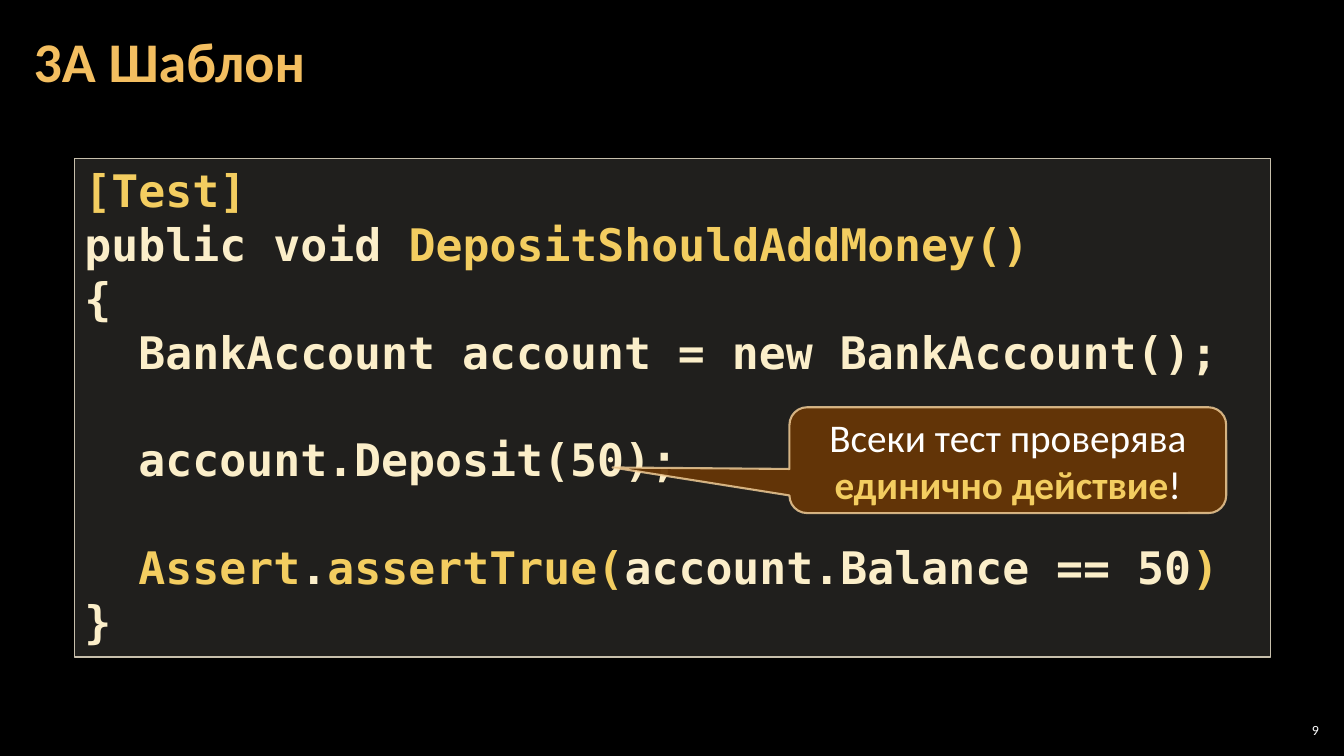
"""Builds the slide about the 3A unit test template."""
from lxml import etree
from pptx import Presentation
from pptx.dml.color import RGBColor
from pptx.enum.shapes import MSO_SHAPE
from pptx.enum.text import MSO_ANCHOR, PP_ALIGN
from pptx.oxml.ns import qn
from pptx.util import Inches, Pt

RECTANGLE = MSO_SHAPE.RECTANGLE
CALLOUT = MSO_SHAPE.ROUNDED_RECTANGULAR_CALLOUT
TOP, MIDDLE = MSO_ANCHOR.TOP, MSO_ANCHOR.MIDDLE
LEFT, CENTER, RIGHT = PP_ALIGN.LEFT, PP_ALIGN.CENTER, PP_ALIGN.RIGHT

WIDTH, HEIGHT = 13.33, 7.5
CODE_LINE = Pt(38.4)
CODE_INDENT = Pt(38.5)
GOLD, CREAM, WHITE = "F3CD60", "FBEEC9", "FFFFFF"

TITLE_FONT = {"name": "Calibri", "size": Pt(40), "bold": True}
CODE_FONT = {"name": "DejaVu Sans Mono", "size": Pt(32), "bold": True}
NOTE_FONT = {"name": "Calibri", "size": Pt(28), "bold": False}
NUMBER_FONT = {"name": "Calibri", "size": Pt(10), "bold": False}

CODE_LINES = [
    (0, 0, [("[Test]", GOLD)]),
    (0, 0, [("public void ", CREAM), ("DepositShouldAddMoney()", GOLD)]),
    (0, 0, [("{", CREAM)]),
    (1, 0, [("BankAccount account = new BankAccount();", CREAM)]),
    (1, 1, [("account.Deposit(50);", CREAM)]),
    (1, 1, [("Assert", GOLD), (".", CREAM), ("assertTrue(", GOLD),
            ("account.Balance == 50", CREAM), (")", GOLD)]),
    (0, 0, [("}", CREAM)]),
]


def set_format(target, values):
    """Set each attribute of the target from a dict."""
    for name, value in values.items():
        setattr(target, name, value)


def share(left, top, width, height):
    """Turn shares of the slide's size into a placement dict."""
    return {"left": Inches(WIDTH * left), "top": Inches(HEIGHT * top),
            "width": Inches(WIDTH * width), "height": Inches(HEIGHT * height)}


def paint(color_format, color, opacity=100):
    """Fill a colour format's fill with a hex colour and an opacity in percent."""
    color_format.solid()
    color_format.fore_color.rgb = RGBColor.from_string(color)
    if opacity < 100:
        solid = color_format._xPr.find(qn("a:solidFill"))
        etree.SubElement(solid[0], qn("a:alpha"), val=str(opacity * 1000))


def add_run(paragraph, text, color, font, **changes):
    """Append a coloured run to a paragraph."""
    run = paragraph.add_run()
    run.text = text
    set_format(run.font, {**font, **changes})
    paint(run.font.fill, color)


def add_panel(slide, preset, place, fill, line, anchor):
    """Add a preset shape with a translucent fill and an outline."""
    panel = slide.shapes.add_shape(preset, **place)
    panel.shadow.inherit = False
    paint(panel.fill, *fill)
    color, points, opacity = line
    paint(panel.line.fill, color, opacity)
    panel.line.width = Pt(points)
    set_format(panel.text_frame, {"word_wrap": True, "vertical_anchor": anchor})
    return panel


def add_title(slide, text):
    """Place and format the title placeholder."""
    title = slide.shapes.title
    set_format(title, share(0.016, 0.005, 0.785, 0.161))
    set_format(title.text_frame, {
        "vertical_anchor": MIDDLE, "word_wrap": True,
        "margin_left": Inches(0.12), "margin_right": Inches(0.12),
        "margin_top": Inches(0.04), "margin_bottom": Inches(0.04)})
    paragraph = title.text_frame.paragraphs[0]
    set_format(paragraph, {"alignment": LEFT, "line_spacing": 0.9})
    add_run(paragraph, text, "F3BE60", TITLE_FONT)


def add_code(slide, lines):
    """Add the code panel, one paragraph per line with indent and gap."""
    panel = add_panel(slide, RECTANGLE, share(0.0555, 0.2093, 0.89, 0.66),
                      ("D9D5C7", 15), ("C7BFAC", 1, 100), TOP)
    frame = panel.text_frame
    for index, (level, gap, runs) in enumerate(lines):
        paragraph = frame.add_paragraph() if index else frame.paragraphs[0]
        set_format(paragraph, {"alignment": LEFT, "line_spacing": CODE_LINE,
                               "space_before": gap * CODE_LINE})
        paragraph._p.get_or_add_pPr().set("marL", str(level * CODE_INDENT))
        for text, color in runs:
            add_run(paragraph, text, color, CODE_FONT)


def add_note(slide):
    """Add the callout that points at the tested action."""
    note = add_panel(slide, CALLOUT, share(0.5874, 0.5387, 0.325, 0.14),
                     ("663606", 95), ("F8D49E", 1.5, 80), MIDDLE)
    for index, value in enumerate((-0.905, 0.069, 0.167)):
        note.adjustments[index] = value
    paragraph = note.text_frame.paragraphs[0]
    paragraph.alignment = CENTER
    add_run(paragraph, "Всеки тест проверява ", WHITE, NOTE_FONT)
    add_run(paragraph, "единично действие", GOLD, NOTE_FONT, bold=True)
    add_run(paragraph, "!", WHITE, NOTE_FONT)


def add_page_number(slide, number):
    """Add the page number in the bottom right corner."""
    box = slide.shapes.add_textbox(**share(0.949, 0.952, 0.0353, 0.028))
    margins = {f"margin_{side}": Inches(0.04)
               for side in ("left", "right", "top", "bottom")}
    set_format(box.text_frame,
               {"word_wrap": True, "vertical_anchor": MIDDLE, **margins})
    paragraph = box.text_frame.paragraphs[0]
    paragraph.alignment = RIGHT
    add_run(paragraph, number, WHITE, NUMBER_FONT)


def main():
    """Build and save the slide."""
    deck = Presentation()
    set_format(deck, {"slide_width": Inches(WIDTH),
                      "slide_height": Inches(HEIGHT)})
    slide = deck.slides.add_slide(deck.slide_layouts[5])
    paint(slide.background.fill, "000000")
    add_page_number(slide, "9")
    add_title(slide, "3A Шаблон")
    add_code(slide, CODE_LINES)
    add_note(slide)
    deck.save("out.pptx")


if __name__ == "__main__":
    main()
